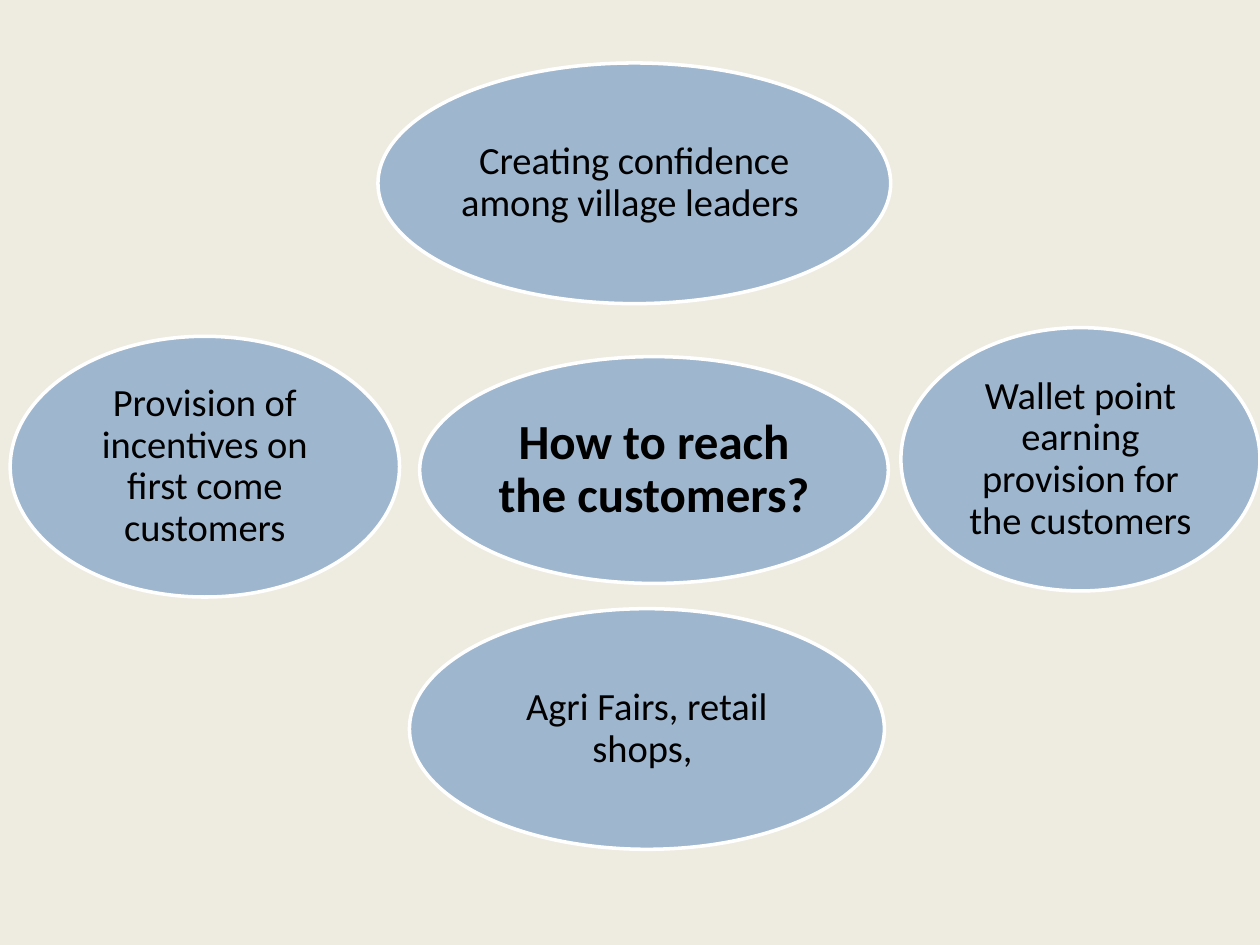
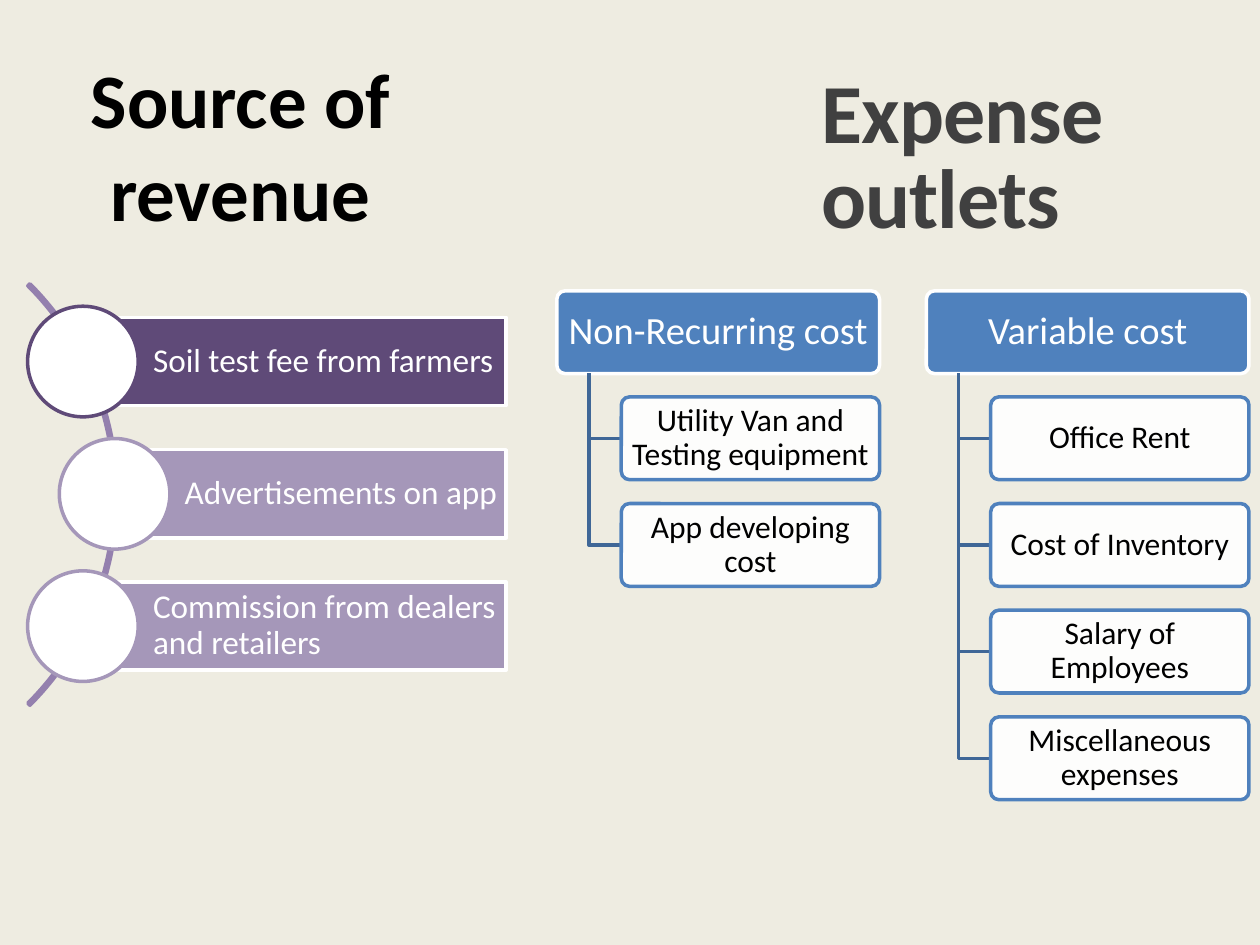
from lxml import etree
from pptx import Presentation
from pptx.dml.color import RGBColor
from pptx.enum.shapes import MSO_SHAPE
from pptx.enum.text import MSO_ANCHOR, MSO_AUTO_SIZE, PP_ALIGN
from pptx.oxml.ns import qn
from pptx.util import Pt

OVAL, RECT, ROUND, ARC = (MSO_SHAPE.OVAL, MSO_SHAPE.RECTANGLE,
                          MSO_SHAPE.ROUNDED_RECTANGLE, MSO_SHAPE.BLOCK_ARC)
MID, LOW = MSO_ANCHOR.MIDDLE, MSO_ANCHOR.BOTTOM
LEFT, MIDDLE = PP_ALIGN.LEFT, PP_ALIGN.CENTER
FIXED = MSO_AUTO_SIZE.NONE

CREAM = RGBColor(0xEE, 0xEC, 0xE1)
WHITE = RGBColor(0xFF, 0xFF, 0xFF)
BLACK = RGBColor(0x00, 0x00, 0x00)
GREY = RGBColor(0x40, 0x40, 0x40)
BLUE = RGBColor(0x4F, 0x81, 0xBD)
NAVY = RGBColor(0x3F, 0x67, 0x97)
PLUM = RGBColor(0x5F, 0x4A, 0x78)
LILAC = RGBColor(0xA5, 0x97, 0xB9)
MAUVE = RGBColor(0x94, 0x80, 0xAE)


def write(shape, text, size, color, bold=False, align=MIDDLE, anchor=MID,
          pads=(7.2, 3.6, 7.2, 3.6), space=0.9):
    frame = shape.text_frame
    frame.text = text
    para = frame.paragraphs[0]
    font = para.runs[0].font
    sides = ("margin_left", "margin_top", "margin_right", "margin_bottom")
    formats = [
        (frame, {"word_wrap": True, "auto_size": FIXED, "vertical_anchor": anchor,
                 **{side: Pt(pad) for side, pad in zip(sides, pads)}}),
        (para, {"alignment": align, "line_spacing": space}),
        (font, {"name": "Calibri", "size": Pt(size), "bold": bold}),
        (font.color, {"rgb": color}),
    ]
    for target, values in formats:
        for name, value in values.items():
            setattr(target, name, value)
    return font


def draw(slide, kind, box, fill, line, alpha=100):
    shape = slide.shapes.add_shape(kind, *map(Pt, box))
    shape.shadow.inherit = False
    shape.line.color.rgb = line
    shape.line.width = Pt(2)
    shape.fill.solid()
    shape.fill.fore_color.rgb = fill
    if alpha < 100:
        tint = shape.fill._xPr.find(qn("a:solidFill"))[0]
        etree.SubElement(tint, qn("a:alpha")).set("val", str(alpha * 1000))
    if kind == ROUND:
        shape.adjustments[0] = 0.1
    return shape


prs = Presentation()
prs.slide_width, prs.slide_height = Pt(720), Pt(540)
back = prs.slide_master.background.fill
back.solid()
back.fore_color.rgb = CREAM

reach = prs.slides.add_slide(prs.slide_layouts[6])
ovals = [
    ("How to reach the customers?", (239.8, 203.8, 267.8, 129.6), 28, True),
    ("Creating confidence among village leaders ", (216, 36, 293, 137.5), 22, False),
    ("Wallet point earning provision for the customers",
     (514.8, 187.2, 205.2, 150.5), 22, False),
    ("Agri Fairs, retail shops, ", (234, 347.8, 271.4, 137.5), 22, False),
    ("Provision of incentives on first come customers",
     (5.8, 192.2, 222.5, 149), 22, False),
]
for text, box, size, bold in ovals:
    oval = draw(reach, OVAL, box, BLUE, WHITE, 50)
    write(oval, text, size, BLACK, bold, pads=(2.2,) * 4)

money = prs.slides.add_slide(prs.slide_layouts[5])
title = money.shapes.title
title.left, title.top, title.width, title.height = map(Pt, (0, 25.2, 275, 114.5))
write(title, "Source of revenue", 44, BLACK, True, space=1.0)
outlets = money.shapes.add_textbox(*map(Pt, (462.2, 25.2, 203, 118.8)))
font = write(outlets, "Expense outlets", 48, GREY, True, LEFT, LOW, space=0.85)
font._element.set("spc", "-50")

arc = draw(money, ARC, (-273.6, 112.3, 340.6, 340.6), MAUVE, MAUVE)
for pos, value in enumerate((189, 27, 0.005)):
    arc.adjustments[pos] = value
arc.fill.background()

income = [
    ("Soil test fee from farmers", 47.5, PLUM),
    ("Advertisements on app", 65.6, LILAC),
    ("Commission from dealers and retailers", 47.5, LILAC),
]
for row, (text, left, color) in enumerate(income):
    top = 181.4 + 75.6 * row
    bar = draw(money, RECT, (left, top, 289.3 - left, 50.4), color, WHITE)
    write(bar, text, 19, WHITE, align=LEFT, pads=(40, 3.5, 3.5, 3.5))
    draw(money, OVAL, (left - 31.7, top - 6.4, 63.2, 63.2), WHITE, color)

costs = [
    ("Non-Recurring cost", 318.2,
     ["Utility Van and Testing equipment", "App developing cost"]),
    ("Variable cost", 529.3,
     ["Office Rent", "Cost of Inventory", "Salary of Employees",
      "Miscellaneous expenses"]),
]
for head, left, items in costs:
    box = draw(money, ROUND, (left, 166.2, 184.4, 47.3), BLUE, WHITE)
    write(box, head, 22, WHITE, pads=(3.3, 2.2, 3.3, 2.2))
    stem, edge = left + 18.4, left + 36.8
    for row, text in enumerate(items):
        top = 226.8 + 60.95 * row
        mid = top + 23.7
        path = money.shapes.build_freeform(Pt(stem), Pt(213.4))
        path.add_line_segments([(Pt(stem), Pt(mid)), (Pt(edge), Pt(mid))], close=False)
        link = path.convert_to_shape()
        link.shadow.inherit = False
        link.fill.background()
        link.line.color.rgb = NAVY
        link.line.width = Pt(2)
        box = draw(money, ROUND, (edge, top, 147.6, 47.3), WHITE, BLUE, 90)
        write(box, text, 18, BLACK, pads=(2.7, 1.8, 2.7, 1.8))

prs.save("out.pptx")
